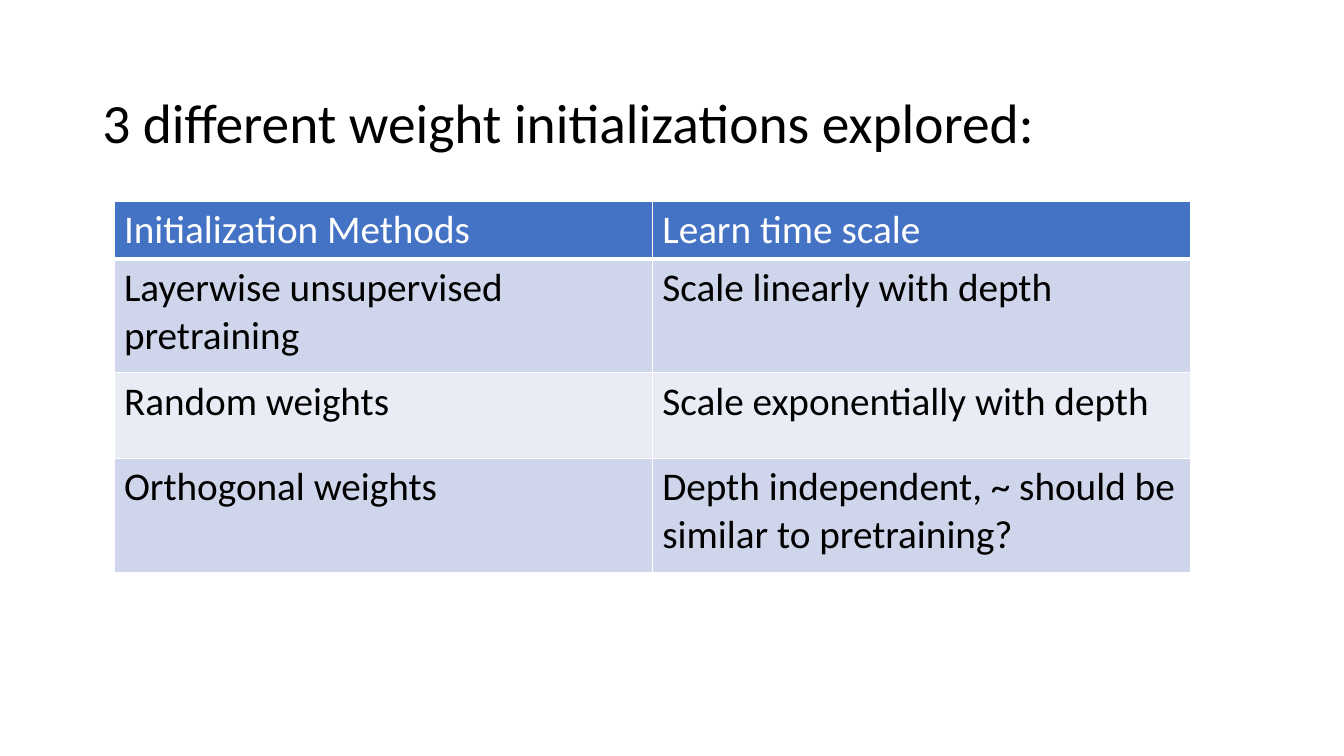
from dataclasses import dataclass

from pptx import Presentation
from pptx import util as u
from pptx.dml import color
from pptx.enum import text
from pptx.oxml import ns
from lxml import etree

FONT = "Calibri"
BLACK, WHITE = "000000", "FFFFFF"
COLUMN_WIDTH = 384.5


@dataclass(frozen=True)
class Row:
    method: str
    time_scale: str
    height: float
    fill: str
    ink: str = BLACK
    rule: float = 1


ROWS = [
    Row("Initialization Methods", "Learn time scale", 32.4, "4472C4", WHITE, 3),
    Row("Layerwise unsupervised pretraining", "Scale linearly with depth", 81.4, "CFD5EA"),
    Row("Random weights", "Scale exponentially with depth", 61.2, "E9EBF5"),
    Row("Orthogonal weights", "Depth independent, ~ should be similar to pretraining?",
        81.4, "CFD5EA"),
]


def rgb(value: str) -> color.RGBColor:
    return color.RGBColor.from_string(value)


def add_run(p, content: str, size: float, ink: str) -> None:
    r = p.add_run()
    r.text = content
    r.font.name = FONT
    r.font.size = u.Pt(size)
    r.font.color.rgb = rgb(ink)


def set_borders(cell, bottom: float) -> None:
    props = cell._tc.get_or_add_tcPr()
    widths = {"a:lnL": 1, "a:lnR": 1, "a:lnT": 1, "a:lnB": bottom}
    for i, (tag, width) in enumerate(widths.items()):
        line = etree.Element(ns.qn(tag), w=str(u.Pt(width)))
        fill = etree.SubElement(line, ns.qn("a:solidFill"))
        etree.SubElement(fill, ns.qn("a:srgbClr"), val=WHITE)
        props.insert(i, line)


def add_title(s, content: str) -> None:
    sp = s.shapes.add_textbox(u.Pt(66), u.Pt(78.5), u.Pt(828), u.Pt(65))
    tf = sp.text_frame
    tf.word_wrap = True
    tf.vertical_anchor = text.MSO_ANCHOR.MIDDLE
    tf.margin_bottom = u.Pt(46.8)
    p = tf.paragraphs[0]
    p.line_spacing = 0.9
    add_run(p, content, 39.6, BLACK)


def add_methods_table(s, rows: list[Row]) -> None:
    height = sum(row.height for row in rows)
    table = s.shapes.add_table(len(rows), 2, u.Pt(81.4), u.Pt(144),
                               u.Pt(2 * COLUMN_WIDTH), u.Pt(height)).table
    for i, row in enumerate(rows):
        table.rows[i].height = u.Pt(row.height)
        for cell, content in zip(table.rows[i].cells, (row.method, row.time_scale)):
            cell.fill.solid()
            cell.fill.fore_color.rgb = rgb(row.fill)
            set_borders(cell, row.rule)
            p = cell.text_frame.paragraphs[0]
            add_run(p, content, 28, row.ink)
            p.runs[0].font.bold = False


def main() -> None:
    prs = Presentation()
    prs.slide_width, prs.slide_height = u.Pt(960), u.Pt(540)
    s = prs.slides.add_slide(prs.slide_layouts[6])
    add_title(s, "3 different weight initializations explored:")
    add_methods_table(s, ROWS)
    prs.save("out.pptx")


if __name__ == "__main__":
    main()
